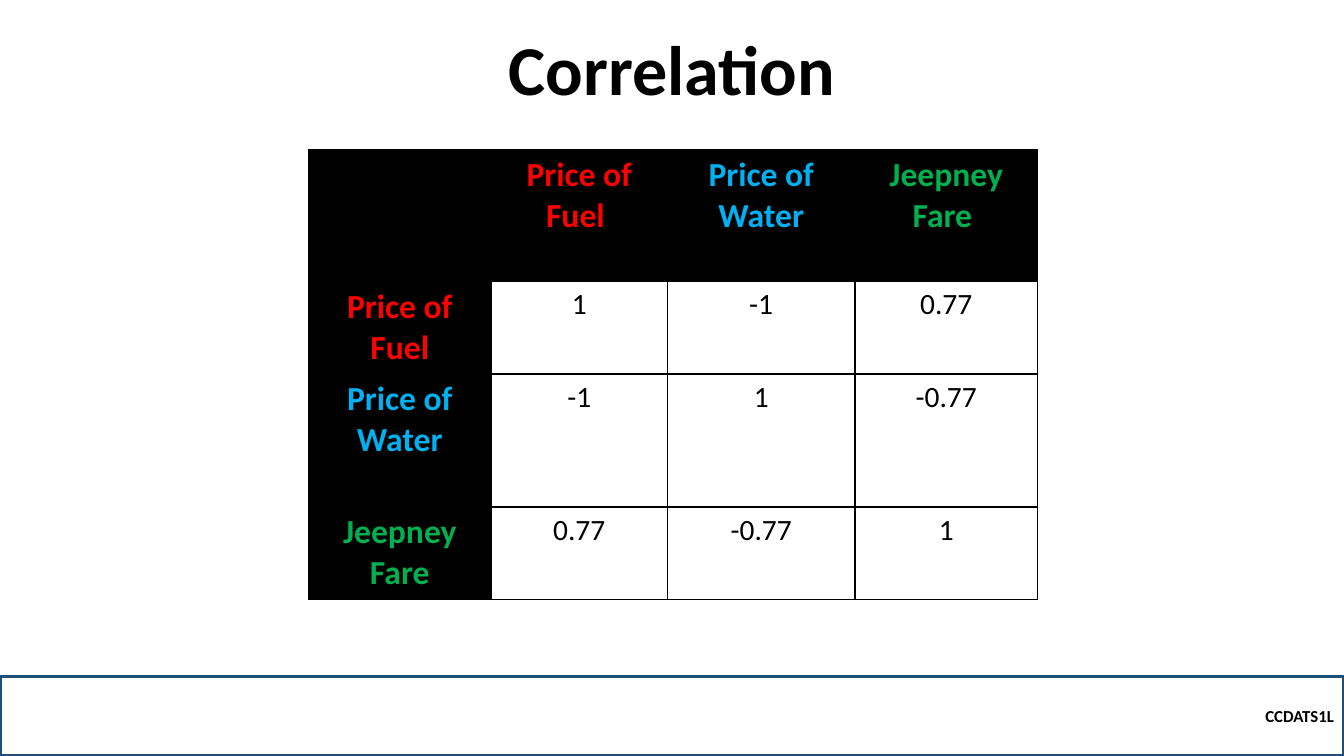
from dataclasses import dataclass

from lxml import etree
from pptx import Presentation
from pptx.dml.color import RGBColor
from pptx.enum.shapes import MSO_SHAPE
from pptx.enum.text import MSO_ANCHOR, MSO_AUTO_SIZE, PP_ALIGN
from pptx.oxml.ns import qn
from pptx.slide import Slide
from pptx.table import _Cell
from pptx.text.text import TextFrame
from pptx.util import Inches, Pt

RECTANGLE = MSO_SHAPE.RECTANGLE
CENTER, RIGHT = PP_ALIGN.CENTER, PP_ALIGN.RIGHT
MIDDLE, BOTTOM = MSO_ANCHOR.MIDDLE, MSO_ANCHOR.BOTTOM
NO_AUTOFIT = MSO_AUTO_SIZE.NONE

BLACK = RGBColor(0x00, 0x00, 0x00)
WHITE = RGBColor(0xFF, 0xFF, 0xFF)
RED = RGBColor(0xFF, 0x00, 0x00)
BLUE = RGBColor(0x00, 0xB0, 0xF0)
GREEN = RGBColor(0x00, 0xB0, 0x50)
NAVY = RGBColor(0x1F, 0x4E, 0x79)
FONT = "Calibri"


@dataclass(frozen=True)
class Variable:
    column_label: str
    row_label: str
    color: RGBColor
    correlations: tuple[str, ...]


VARIABLES = (
    Variable("Price of Fuel ", "Price of Fuel", RED, ("1", "-1", "0.77")),
    Variable("Price of Water", "Price of Water", BLUE, ("-1", "1", "-0.77")),
    Variable("Jeepney Fare ", "Jeepney Fare", GREEN, ("0.77", "-0.77", "1")),
)
COLUMN_WIDTHS = (1.81, 1.75, 1.86, 1.81)
ROW_HEIGHTS = (1.31, 0.92, 1.32, 0.92)


def write_text(frame: TextFrame, text: str, size: float, color: RGBColor,
               bold: bool = True, alignment: PP_ALIGN = CENTER) -> None:
    paragraph = frame.paragraphs[0]
    paragraph.alignment = alignment
    run = paragraph.add_run()
    run.text = text
    run.font.name = FONT
    run.font.size = Pt(size)
    run.font.bold = bold
    run.font.color.rgb = color


def add_border(cell: _Cell, side: str, width: float) -> None:
    properties = cell._tc.get_or_add_tcPr()
    line = etree.SubElement(properties, qn(f"a:ln{side}"), w=str(Pt(width)))
    fill = etree.SubElement(line, qn("a:solidFill"))
    etree.SubElement(fill, qn("a:srgbClr"), val=str(BLACK))


def style_cell(cell: _Cell, fill: RGBColor, is_header: bool) -> None:
    for side in "LRTB":
        add_border(cell, side, 0.5 if is_header and side != "B" else 1)
    cell.fill.solid()
    cell.fill.fore_color.rgb = fill


def add_title(slide: Slide) -> None:
    title = slide.shapes.title
    title.left, title.top = Inches(0.5), Inches(0.36)
    title.width, title.height = Inches(12.33), Inches(0.79)
    frame = title.text_frame
    frame.auto_size = NO_AUTOFIT
    frame.vertical_anchor = BOTTOM
    write_text(frame, "Correlation", 50, BLACK)
    frame.paragraphs[0].line_spacing = 0.9


def add_correlation_table(slide: Slide) -> None:
    size = len(VARIABLES) + 1
    table = slide.shapes.add_table(
        size, size, Inches(3.06), Inches(1.48),
        Inches(sum(COLUMN_WIDTHS)), Inches(sum(ROW_HEIGHTS))).table
    table.first_row = False
    table.horz_banding = False
    for column, width in zip(table.columns, COLUMN_WIDTHS):
        column.width = Inches(width)
    for row, height in zip(table.rows, ROW_HEIGHTS):
        row.height = Inches(height)
    for row in range(size):
        for column in range(size):
            is_label = row == 0 or column == 0
            style_cell(table.cell(row, column), BLACK if is_label else WHITE, row == 0)
    for index, variable in enumerate(VARIABLES, start=1):
        write_text(table.cell(0, index).text_frame, variable.column_label, 24, variable.color)
        write_text(table.cell(index, 0).text_frame, variable.row_label, 24, variable.color)
        for column, value in enumerate(variable.correlations, start=1):
            write_text(table.cell(index, column).text_frame, value, 21, BLACK, bold=False)


def add_footer(slide: Slide) -> None:
    footer = slide.shapes.add_shape(
        RECTANGLE, Inches(0), Inches(6.71), Inches(13.33), Inches(0.79))
    footer.shadow.inherit = False
    footer.fill.background()
    footer.line.color.rgb = NAVY
    footer.line.width = Pt(2.25)
    footer.text_frame.vertical_anchor = MIDDLE
    write_text(footer.text_frame, "CCDATS1L", 12, BLACK, alignment=RIGHT)


def main() -> None:
    presentation = Presentation()
    presentation.slide_width = Inches(13.33)
    presentation.slide_height = Inches(7.5)
    slide = presentation.slides.add_slide(presentation.slide_layouts[5])
    add_footer(slide)
    add_title(slide)
    add_correlation_table(slide)
    presentation.save("out.pptx")


if __name__ == "__main__":
    main()
